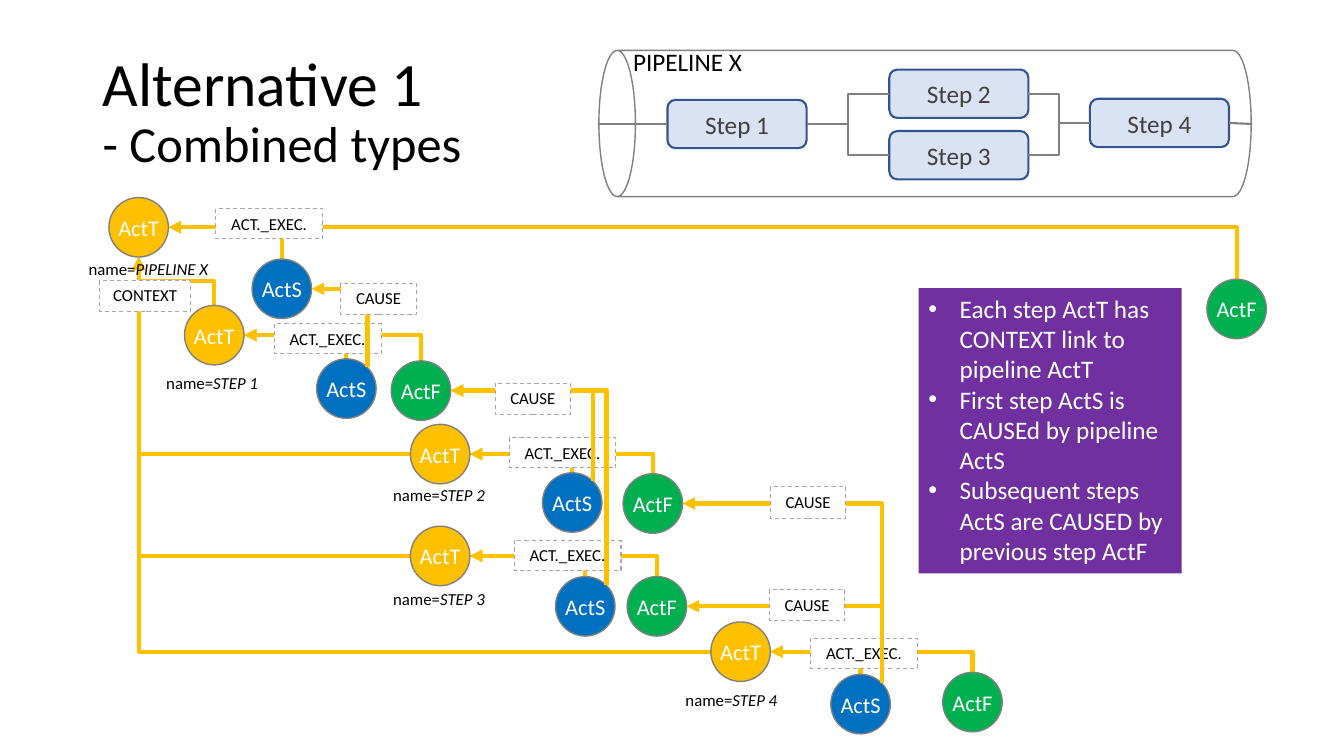
"""Build the slide on Alternative 1, the combined activity types of a pipeline."""
from dataclasses import dataclass

from lxml import etree
from pptx import Presentation
from pptx.dml.color import RGBColor
from pptx.enum.dml import MSO_LINE
from pptx.enum.shapes import MSO_CONNECTOR, MSO_SHAPE
from pptx.enum.text import MSO_ANCHOR, MSO_AUTO_SIZE, PP_ALIGN
from pptx.oxml.ns import qn
from pptx.util import Inches, Pt

ELBOW, STRAIGHT = MSO_CONNECTOR.ELBOW, MSO_CONNECTOR.STRAIGHT
RECT, ROUND, CIRCLE, CAN = (MSO_SHAPE.RECTANGLE, MSO_SHAPE.ROUNDED_RECTANGLE,
                            MSO_SHAPE.FLOWCHART_CONNECTOR, MSO_SHAPE.CAN)
LEFT, CENTER = PP_ALIGN.LEFT, PP_ALIGN.CENTER
TOP, MIDDLE = MSO_ANCHOR.TOP, MSO_ANCHOR.MIDDLE
FIT, DASH = MSO_AUTO_SIZE.SHAPE_TO_FIT_TEXT, MSO_LINE.DASH
LEFT_SIDE, RIGHT_SIDE = 1, 3


@dataclass(frozen=True)
class Theme:
    font: str = "Calibri"
    black: str = "000000"
    white: str = "FFFFFF"
    gray: str = "808080"
    label_line: str = "A6A6A6"
    link: str = "FFC000"
    trigger: str = "FFC000"
    start: str = "0070C0"
    finish: str = "00B050"
    note: str = "7030A0"
    step_fill: str = "DAE3F3"
    step_line: str = "325491"
    step_text: str = "404040"
    title: int = 44
    subtitle: int = 36
    body: int = 18
    node: int = 16
    label: int = 12


THEME = Theme()
DIAMETER = 0.59
RADIUS = DIAMETER / 2
DIAGONAL = 0.21

TITLE = [[("Alternative 1\n", {}), ("- Combined types", {"size": THEME.subtitle})]]
NOTES = [
    "Each step ActT has CONTEXT link to pipeline ActT",
    "First step ActS is CAUSEd by pipeline ActS",
    "Subsequent steps ActS are CAUSED by previous step ActF",
]
STEP_BOXES = {"Step 1": (6.62, 0.99), "Step 2": (8.82, 0.69),
              "Step 3": (8.82, 1.3), "Step 4": (10.81, 0.98)}
STEP_LINKS = [("Step 1", "Step 2"), ("Step 1", "Step 3"),
              ("Step 2", "Step 4"), ("Step 3", "Step 4")]
PIPE_ENDS = [("Step 1", LEFT_SIDE, 5.94), ("Step 4", RIGHT_SIDE, 12.42)]
ACTIVITIES = {
    "PIPELINE X": {"ActT": (1.08, 1.96), "ActS": (2.5, 2.57), "ActF": (11.97, 2.77),
                   "exec": (2.14, 2.07), "name": (0.78, 2.52, 1.4)},
    "STEP 1": {"ActT": (1.83, 3.03), "ActS": (3.14, 3.56), "ActF": (3.88, 3.58),
               "exec": (2.72, 3.21), "name": (1.55, 3.65, 1.12)},
    "STEP 2": {"ActT": (4.07, 4.21), "ActS": (5.38, 4.69), "ActF": (6.18, 4.7),
               "exec": (5.05, 4.34), "name": (3.8, 4.76, 1.12)},
    "STEP 3": {"ActT": (4.07, 5.22), "ActS": (5.51, 5.72), "ActF": (6.22, 5.72),
               "exec": (5.1, 5.36), "name": (3.8, 5.79, 1.12)},
    "STEP 4": {"ActT": (7.05, 6.17), "ActS": (8.24, 6.69), "ActF": (9.35, 6.67),
               "exec": (8.04, 6.33), "name": (6.7, 6.79, 1.12)},
}
CAUSES = [("STEP 1", "PIPELINE X", "ActS"), ("STEP 2", "STEP 1", "ActF"),
          ("STEP 3", "STEP 1", "ActF"), ("STEP 4", "STEP 2", "ActF"),
          ("STEP 4", "STEP 3", "ActF")]
CAUSE_LABELS = [(3.38, 2.81), (4.91, 3.8), (7.64, 4.83), (7.63, 5.85)]
NODE_FILLS = {"ActT": THEME.trigger, "ActS": THEME.start, "ActF": THEME.finish}

deck = Presentation()
deck.slide_width, deck.slide_height = Inches(13.33), Inches(7.5)
shapes = deck.slides.add_slide(deck.slide_layouts[6]).shapes


def write(target, paragraphs, size=THEME.label, color=THEME.black, align=CENTER, anchor=TOP,
          wrap=True, grow=False, inset=None, bullet=False, spacing=None):
    frame = target.text_frame
    frame.word_wrap, frame.vertical_anchor = wrap, anchor
    if grow:
        frame.auto_size = FIT
    if inset is not None:
        frame.margin_left = frame.margin_right = Inches(inset)
        frame.margin_top = frame.margin_bottom = Inches(inset)
    for index, runs in enumerate(paragraphs):
        paragraph = frame.add_paragraph() if index else frame.paragraphs[0]
        paragraph.alignment = align
        if spacing:
            paragraph.line_spacing = spacing
        if bullet:
            props = paragraph._p.get_or_add_pPr()
            props.set("marL", str(Inches(0.31)))
            props.set("indent", str(Inches(-0.31)))
            etree.SubElement(props, qn("a:buFont")).set("typeface", "Arial")
            etree.SubElement(props, qn("a:buChar")).set("char", "•")
        for text, style in runs:
            run = paragraph.add_run()
            run.text = text.rstrip("\n")
            run.font.name = THEME.font
            run.font.size = Pt(style.get("size", size))
            run.font.italic = style.get("italic")
            run.font.color.rgb = RGBColor.from_string(color)
            if text.endswith("\n"):
                paragraph.add_line_break()


def add_box(kind, at, fill=None, line=None, width=1, dash=None):
    box = shapes.add_shape(kind, *map(Inches, at))
    box.shadow.inherit = False
    if fill:
        box.fill.solid()
        box.fill.fore_color.rgb = RGBColor.from_string(fill)
    else:
        box.fill.background()
    if line:
        box.line.color.rgb = RGBColor.from_string(line)
        box.line.width = Pt(width)
        box.line.dash_style = dash
    else:
        box.line.fill.background()
    return box


def add_text(at, paragraphs, **style):
    write(shapes.add_textbox(*map(Inches, at)), paragraphs, align=LEFT, **style)


def add_label(at, text):
    label = add_box(RECT, at, THEME.white, THEME.label_line, 0.75, DASH)
    write(label, [[(text, {})]], grow=True)


def add_line(kind, at, color=THEME.gray, width=1.5):
    line = shapes.add_connector(kind, *map(Inches, at))
    line.line.color.rgb = RGBColor.from_string(color)
    line.line.width = Pt(width)
    etree.SubElement(line._element.spPr, qn("a:effectLst"))
    return line


def add_link(begin, end, upward=True, preset="bentConnector2"):
    (x1, y1), (x2, y2) = begin, end
    across, down = abs(x1 - x2), abs(y1 - y2)
    wide, high = (down, across) if upward else (across, down)
    left, top = (x1 + x2 - wide) / 2, (y1 + y2 - high) / 2
    link = add_line(ELBOW, (left, top, left + wide, top + high), THEME.link, 3)
    props = link._element.spPr
    frame = props.find(qn("a:xfrm"))
    frame.set("rot", "16200000" if upward else "10800000")
    if upward:
        frame.set("flipV", "1")
    props.find(qn("a:prstGeom")).set("prst", preset)
    etree.SubElement(props.find(qn("a:ln")), qn("a:tailEnd")).set("type", "triangle")


def node_point(activity, node, across=0, down=0):
    left, top = ACTIVITIES[activity][node]
    return left + RADIUS + across, top + RADIUS + down


context = node_point("PIPELINE X", "ActT", down=RADIUS)
for activity in ACTIVITIES:
    for node in ("ActF", "ActS"):
        add_link(node_point(activity, node, down=-RADIUS),
                 node_point(activity, "ActT", across=RADIUS))
    if activity == "STEP 1":
        add_link(node_point(activity, "ActT", down=-RADIUS), context, preset="bentConnector3")
    elif activity != "PIPELINE X":
        add_link(node_point(activity, "ActT", across=-RADIUS), context, upward=False)

add_text((0.92, 0.4, 11.5, 1.45), TITLE, size=THEME.title, anchor=MIDDLE, spacing=0.9)

for activity, parts in ACTIVITIES.items():
    for node, fill in NODE_FILLS.items():
        circle = add_box(CIRCLE, (*parts[node], DIAMETER, DIAMETER), fill, THEME.gray)
        write(circle, [[(node, {})]], size=THEME.node, color=THEME.white, anchor=MIDDLE, inset=0)
    add_label((*parts["exec"], 1.06, 0.3), "ACT._EXEC.")
    add_text((*parts["name"], 0.3), [[("name=", {}), (activity, {"italic": True})]],
             wrap=False, grow=True)
add_label((0.99, 2.78, 0.9, 0.31), "CONTEXT")

for activity, source, node in CAUSES:
    add_link(node_point(activity, "ActS", DIAGONAL, -DIAGONAL),
             node_point(source, node, across=RADIUS))
for place in CAUSE_LABELS:
    add_label((*place, 0.75, 0.31), "CAUSE")

pipe = add_box(CAN, (8.45, -2.01, 1.45, 6.47), line=THEME.gray)
pipe.rotation = 270
add_text((6.18, 0.41, 1.29, 0.4), [[("PIPELINE X", {})]], size=THEME.body, wrap=False, grow=True)
steps = {}
for step, place in STEP_BOXES.items():
    steps[step] = add_box(ROUND, (*place, 1.38, 0.48), THEME.step_fill, THEME.step_line, 1.5)
    write(steps[step], [[(step, {})]], size=THEME.body, color=THEME.step_text, anchor=MIDDLE)
for before, after in STEP_LINKS:
    join = add_line(ELBOW, (0, 0, 0, 0))
    join.begin_connect(steps[before], RIGHT_SIDE)
    join.end_connect(steps[after], LEFT_SIDE)
for step, side, edge in PIPE_ENDS:
    add_line(STRAIGHT, (edge, 1.23, edge, 1.23)).begin_connect(steps[step], side)

note = add_box(RECT, (9.11, 2.86, 2.61, 2.83), THEME.note)
write(note, [[(line, {})] for line in NOTES], size=THEME.body, color=THEME.white,
      align=LEFT, grow=True, bullet=True)
deck.save("out.pptx")
